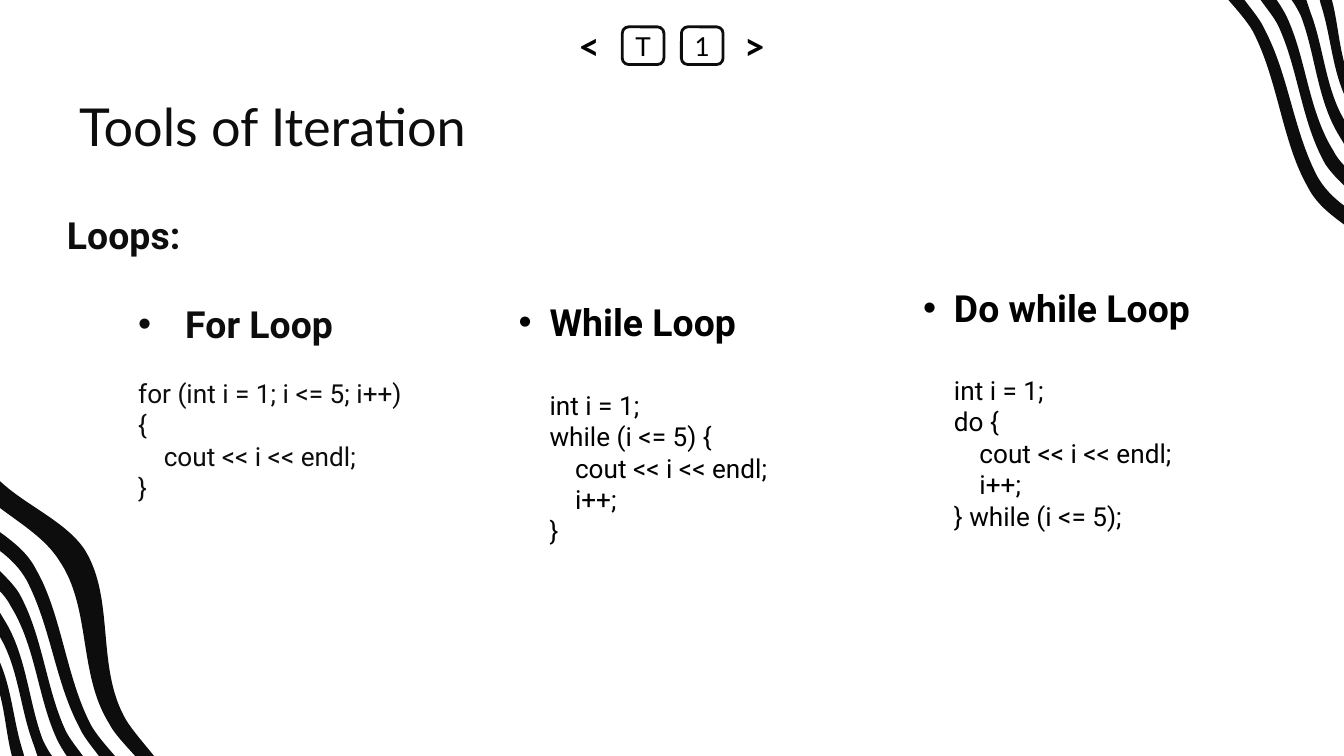
from pptx import Presentation
from pptx.dml.color import RGBColor
from pptx.enum.shapes import MSO_SHAPE as Shape
from pptx.enum.text import MSO_ANCHOR as Anchor, PP_ALIGN as Align
from pptx.oxml.ns import qn
from pptx.util import Inches, Pt
from lxml.etree import SubElement as Sub

INK = RGBColor(0x0D, 0x0D, 0x0D)
BLACK = RGBColor(0, 0, 0)
WHITE = RGBColor(0xFF, 0xFF, 0xFF)
WIDE = Inches(10)
HIGH = WIDE * 9 // 16
CELL = WIDE // 10
TAB = 0.19

BANDS = [
    ([(0, 0.2), (0.16, 0.32), (0.34, 0.43), (0.44, 0.59), (0.68, 0.94), (0.58, 1.43),
      (0.81, 1.8), (0.85, 1.88), (0.93, 1.96), (1.01, 2.05)],
     [(1.15, 2.05), (1.07, 1.95), (0.99, 1.86), (0.94, 1.78), (0.71, 1.39), (0.86, 0.88),
      (0.63, 0.51), (0.49, 0.3), (0.19, 0.18), (0, 0)]),
    ([(0, 0.52), (0.08, 0.58), (0.15, 0.65), (0.2, 0.74), (0.38, 1.09), (0.41, 1.49),
      (0.59, 1.83), (0.62, 1.9), (0.68, 1.97), (0.74, 2.05)],
     [(0.86, 2.05), (0.79, 1.97), (0.72, 1.89), (0.68, 1.82), (0.49, 1.46), (0.46, 0.99),
      (0.27, 0.66), (0.21, 0.54), (0.11, 0.46), (0, 0.38)]),
    ([(0, 0.82), (0.03, 0.85), (0.06, 0.89), (0.08, 0.93), (0.26, 1.22), (0.28, 1.59),
      (0.41, 1.89), (0.43, 1.94), (0.46, 1.99), (0.5, 2.05)],
     [(0.62, 2.05), (0.57, 1.98), (0.52, 1.92), (0.49, 1.86), (0.34, 1.54), (0.32, 1.15),
      (0.14, 0.83), (0.1, 0.77), (0.05, 0.72), (0, 0.67)]),
    ([(0, 1.16), (0.14, 1.4), (0.15, 1.7), (0.25, 1.96), (0.26, 1.99), (0.27, 2.02),
      (0.28, 2.05)],
     [(0.39, 2.05), (0.36, 2.01), (0.34, 1.97), (0.32, 1.93), (0.21, 1.64), (0.2, 1.3),
      (0.03, 1.03), (0.02, 1.01), (0.01, 1), (0, 0.98)]),
    ([(0, 1.59), (0.04, 1.74), (0.05, 1.9), (0.09, 2.05)],
     [(0.18, 2.05), (0.18, 2.03), (0.17, 2.02), (0.17, 2.01), (0.1, 1.79), (0.09, 1.56),
      (0, 1.35)]),
]


def grid(box):
    """Turn grid columns and rows into slide lengths."""
    return [round(n * CELL) for n in box]


def curve(band, near):
    """Join each three line steps of a band into one cubic curve."""
    steps = list(band._element.iter(qn("a:lnTo")))
    for part in (steps[:near - 1], steps[near:]):
        for i in range(0, len(part) - 2, 3):
            first, *rest = part[i:i + 3]
            first.tag = qn("a:cubicBezTo")
            for step in rest:
                first.append(step[0])
                step.getparent().remove(step)


def waves(slide, box, bands, turn=False):
    """Draw the wavy bands in a box, turned half round if asked."""
    left, top, wide, high = box
    for near, far in bands:
        pts = near + far
        if turn:
            pts = [(wide - x, high - y) for x, y in pts]
        pts = [((left + x) * CELL, (top + y) * CELL) for x, y in pts]
        pen = slide.shapes.build_freeform(*pts[0])
        pen.add_line_segments(pts[1:], close=True)
        band = pen.convert_to_shape()
        curve(band, len(near))
        band.shadow.inherit = False
        band.fill.solid()
        band.fill.fore_color.rgb = INK
        band.line.fill.background()


def style(para, face, size, color, bold=False):
    """Format every run of a paragraph."""
    for run in para.runs:
        font = run.font
        font.name, font.size, font.bold = face, Pt(size), bold
        font.color.rgb = color


def inset(frame, side, edge):
    """Set the four margins of a text frame."""
    frame.margin_left = frame.margin_right = round(side * CELL)
    frame.margin_top = frame.margin_bottom = round(edge * CELL)


def keys(slide, box):
    """Draw the row of keys and arrows along a box."""
    left, top, wide, high = box
    for x, text, framed in ((0, "<", False), (0.4, "T", True),
                            (0.84, "1", True), (1.23, ">", False)):
        key = slide.shapes.add_shape(Shape.ROUNDED_RECTANGLE,
                                     *grid((left + x, top, wide / 5, high)))
        key.adjustments[0] = 0.17
        key.shadow.inherit = False
        key.fill.solid()
        key.fill.fore_color.rgb = WHITE
        if framed:
            key.line.color.rgb = INK
            key.line.width = Pt(1.5)
        else:
            key.line.fill.background()
        frame = key.text_frame
        frame.vertical_anchor = Anchor.MIDDLE
        inset(frame, 0, 0)
        para = frame.paragraphs[0]
        para.text, para.alignment = text, Align.CENTER
        style(para, "Lato", 14 if framed else 20, BLACK, not framed)


def panel(slide, box, edge):
    """Add an empty wrapped text box and return its frame."""
    frame = slide.shapes.add_textbox(*grid(box)).text_frame
    frame.word_wrap = True
    inset(frame, 0.1, edge)
    return frame


def title(slide, box, text):
    """Write the slide title in a box."""
    frame = panel(slide, box, 0.1)
    frame.vertical_anchor = Anchor.MIDDLE
    para = frame.paragraphs[0]
    para.text, para.line_spacing = text, 0.8
    style(para, "Lato", 28, INK)


def indent(para, left, hang=0, dot=None):
    """Set the indent of a paragraph and its bullet colour."""
    props = para._p.get_or_add_pPr()
    props.set("marL", str(round(left * CELL)))
    props.set("indent", str(round(-hang * CELL)))
    if dot is not None:
        tint = Sub(Sub(props, qn("a:buClr")), qn("a:srgbClr"))
        tint.set("val", str(dot))
        Sub(props, qn("a:buFont")).set("typeface", "Arial")
        Sub(props, qn("a:buChar")).set("char", "•")


def loop(slide, box, name, code, color=BLACK, lead=None,
         edge=0.05, hang=0.23, left=0.87, start=0.87, gap=24):
    """Write a bulleted loop name and its code in a box."""
    frame = panel(slide, box, edge)
    head = frame.paragraphs[0]
    if lead:
        head.text = lead
        style(head, "Roboto", 20, color, True)
        head = frame.add_paragraph()
        head.space_before = Pt(23.4)
    head.text = name
    indent(head, left, hang, color)
    style(head, "Roboto", 20, color, True)
    for i, (depth, text) in enumerate(code):
        para = frame.add_paragraph()
        para.text = text
        para.space_before = Pt(0 if i else gap)
        indent(para, start + depth * TAB)
        style(para, "Roboto", 14, color)


def main():
    """Build the slide and save it."""
    deck = Presentation()
    deck.slide_width, deck.slide_height = WIDE, HIGH
    slide = deck.slides.add_slide(deck.slide_layouts[6])
    waves(slide, (0, 3.58, 1.15, 2.05), BANDS)
    waves(slide, (8.85, 0, 1.15, 2.05), BANDS[1:], True)
    keys(slide, (4.23, 0.2, 1.55, 0.28))
    title(slide, (0.49, 0.66, 8.09, 0.63), "Tools of Iteration")
    show = (1, "cout << i << endl;")
    body = [show, (1, "i++;")]
    first = (0, "int i = 1;")
    loop(slide, (0.4, 1.48, 3.01, 2.91), "For Loop",
         [(0, "for (int i = 1; i <= 5; i++)"), (0, "{"), show, (0, "}")],
         INK, "Loops:", 0.1, 0.35, 0.88, 0.53, 17)
    loop(slide, (3.12, 2.18, 3.69, 2.29), "While Loop",
         [first, (0, "while (i <= 5) {"), *body, (0, "}")])
    loop(slide, (6.13, 2.07, 3.27, 2.29), "Do while Loop",
         [first, (0, "do {"), *body, (0, "} while (i <= 5);")])
    deck.save("out.pptx")


if __name__ == "__main__":
    main()
